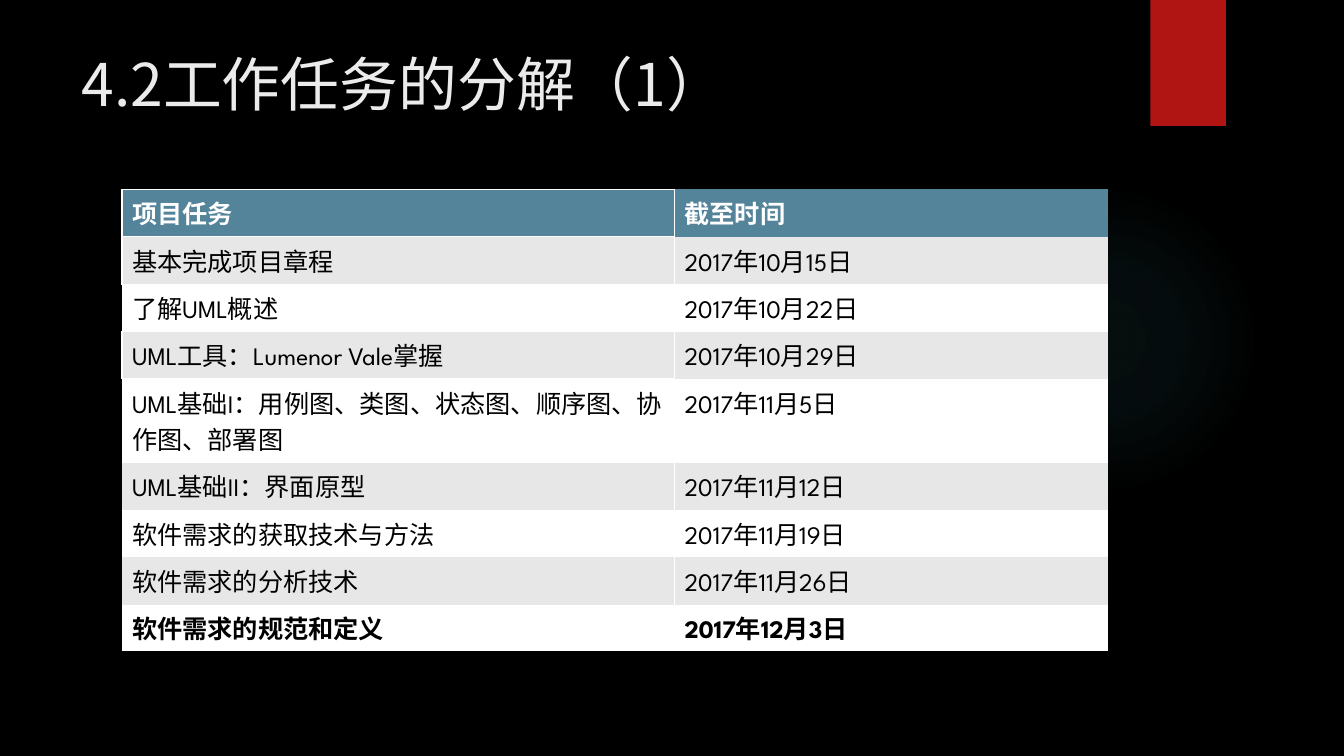
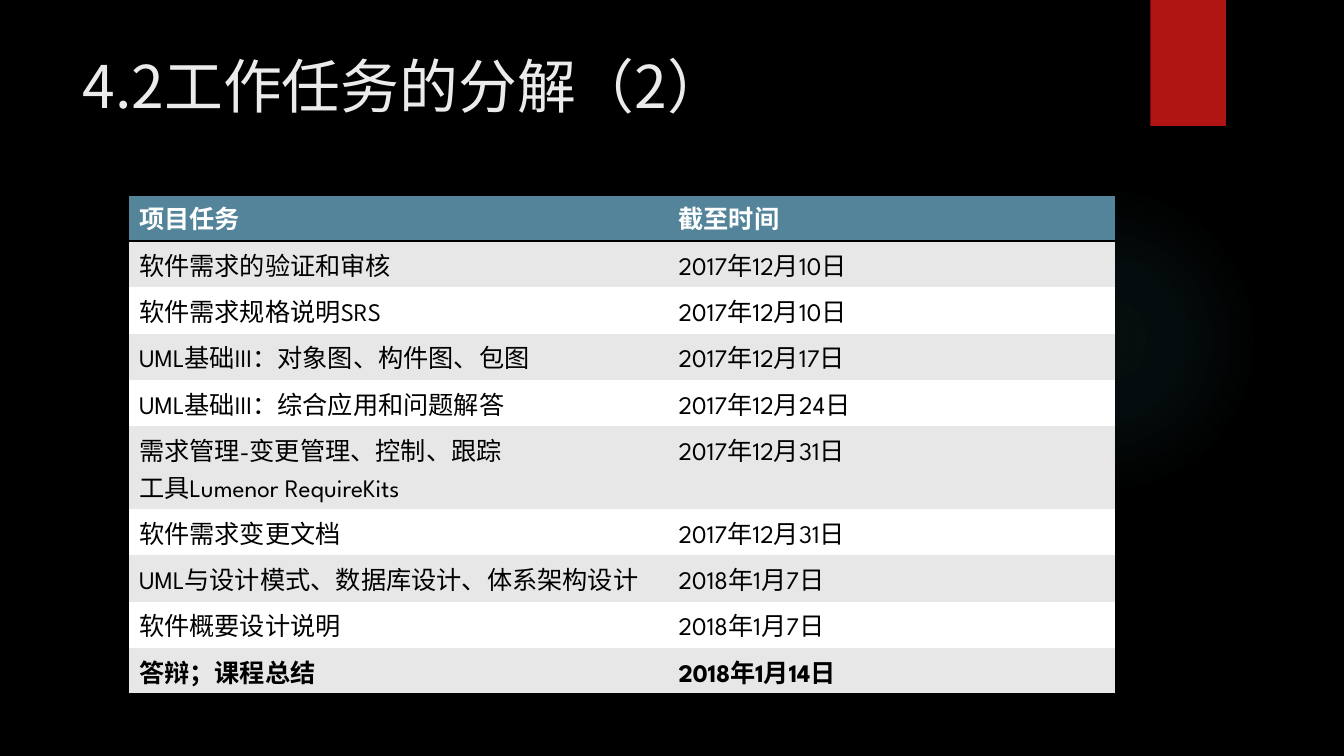
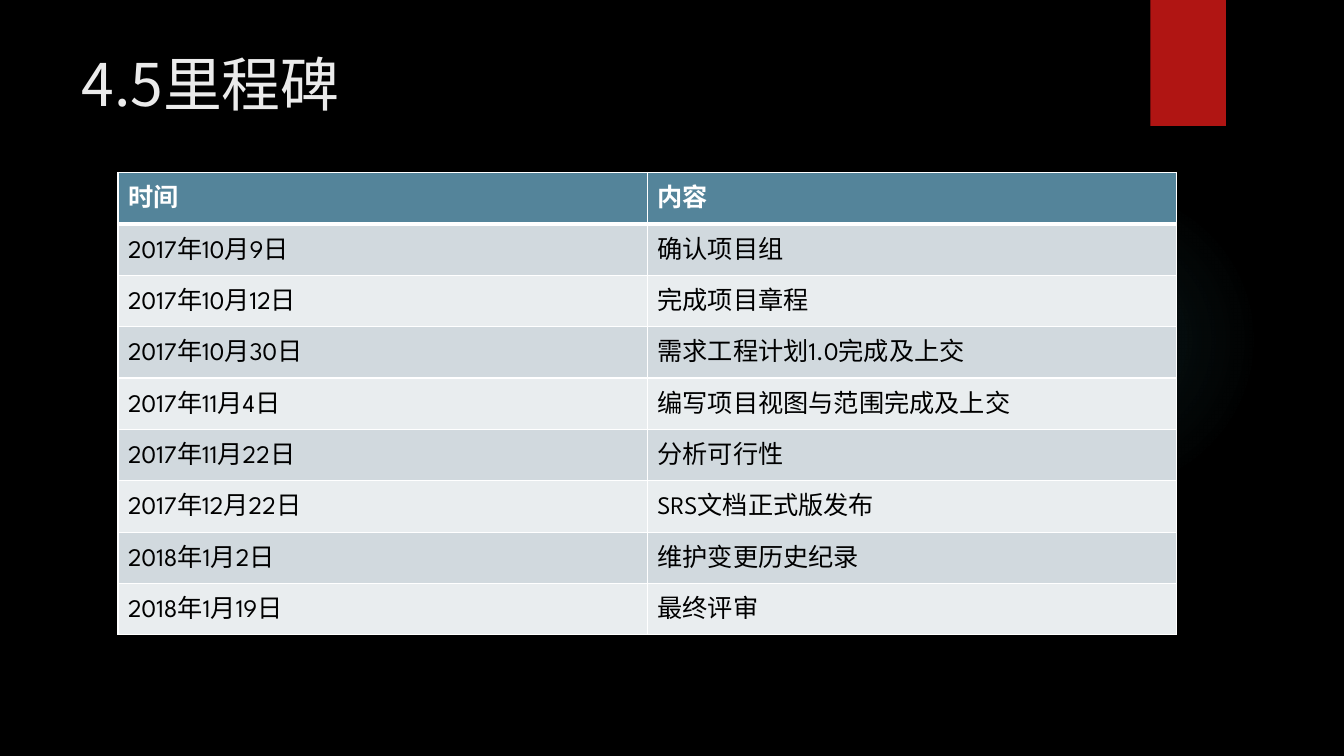
from lxml import etree
from pptx import Presentation
from pptx import oxml, util as u
from pptx.dml.color import RGBColor
from pptx.enum import shapes, text
from pptx.oxml.ns import nsdecls, qn

COLORS = {
    "back": "000000", "band": "B01513", "glow": "50B9C1", "title": "EBEBEB",
    "header": "54849A", "white": "FFFFFF", "black": "000000", "grey": "E7E7E7",
    "blue_dark": "D1D9DE", "blue_light": "E9EDEF",
}
CJK = "Noto Sans CJK SC"
LATIN = "League Spartan"
NO_TABLE_STYLE = "{2D5ABB26-0587-4C30-8999-92F81FD0307C}"
GLOW_STOPS = [(0, 7), (36, 6), (69, 0), (100, 0)]


def rgb(name):
    return RGBColor.from_string(COLORS[name])


class Deck:
    def __init__(self):
        self.prs = Presentation()
        self.prs.slide_width = u.Inches(13.33)
        self.prs.slide_height = u.Inches(7.5)
        self.s = None

    def slide(self):
        self.s = self.prs.slides.add_slide(self.prs.slide_layouts[6])
        fill = self.s.background.fill
        fill.solid()
        fill.fore_color.rgb = rgb("back")
        self.glow()
        band = self.shape(shapes.MSO_SHAPE.RECTANGLE, 11.41, 0, 0.75, 1.25)
        band.fill.solid()
        band.fill.fore_color.rgb = rgb("band")

    def shape(self, kind, *box):
        sp = self.s.shapes.add_shape(kind, *map(u.Inches, box))
        sp.shadow.inherit = False
        sp.line.fill.background()
        return sp

    def glow(self):
        sp = self.shape(shapes.MSO_SHAPE.OVAL, 9.41, 1.83, 3.08, 3.08)
        sp.fill.background()
        stops = "".join(
            f'<a:gs pos="{pos * 1000}"><a:srgbClr val="{COLORS["glow"]}">'
            f'<a:alpha val="{alpha * 1000}"/></a:srgbClr></a:gs>'
            for pos, alpha in GLOW_STOPS)
        grad = oxml.parse_xml(
            f'<a:gradFill {nsdecls("a")}><a:gsLst>{stops}</a:gsLst>'
            '<a:path path="circle"><a:fillToRect l="50000" t="50000" '
            'r="50000" b="50000"/></a:path></a:gradFill>')
        props = sp.element.spPr
        props.replace(props.find(qn("a:noFill")), grad)

    def format(self, tf, size, font, color, bold=False):
        for p in tf.paragraphs:
            for r in p.runs:
                r.font.size = u.Pt(size)
                r.font.name = font
                r.font.bold = bold
                r.font.color.rgb = rgb(color)
                ea = etree.SubElement(r.font._element, qn("a:ea"))
                ea.set("typeface", CJK)

    def title(self, words, left=0.71, top=0.5, height=1.09):
        sp = self.s.shapes.add_textbox(*map(u.Inches, (left, top, 10.29, height)))
        tf = sp.text_frame
        tf.word_wrap = True
        tf.vertical_anchor = text.MSO_ANCHOR.TOP
        tf.text = words
        tf.paragraphs[0].line_spacing = 0.9
        self.format(tf, 42, CJK, "title")

    def border(self, cell, sides):
        tc_pr = cell._tc.get_or_add_tcPr()
        lines = []
        for side in "LRTB":
            line = etree.Element(qn(f"a:ln{side}"))
            if side in sides:
                color, width = sides[side]
                line.set("w", str(u.Pt(width)))
                fill = etree.SubElement(line, qn("a:solidFill"))
                etree.SubElement(fill, qn("a:srgbClr")).set("val", COLORS[color])
            else:
                etree.SubElement(line, qn("a:noFill"))
            lines.append(line)
        tc_pr[0:0] = lines

    def table(self, left, top, widths, heights, rows, bands, borders, last_bold=True):
        frame = self.s.shapes.add_table(
            len(rows), len(widths), u.Inches(left), u.Inches(top),
            u.Inches(sum(widths)), u.Inches(sum(heights)))
        table = frame.table
        table._tbl.tblPr.find(qn("a:tableStyleId")).text = NO_TABLE_STYLE
        for col, width in zip(table.columns, widths):
            col.width = u.Inches(width)
        for i, (row, height) in enumerate(zip(rows, heights)):
            table.rows[i].height = u.Inches(height)
            head = i == 0
            bold = head or (last_bold and i == len(rows) - 1)
            for j, words in enumerate(row):
                cell = table.cell(i, j)
                cell.text_frame.text = words
                self.format(cell.text_frame, 18, LATIN,
                            "white" if head else "black", bold)
                cell.fill.solid()
                cell.fill.fore_color.rgb = rgb("header" if head else bands[(i - 1) % 2])
                self.border(cell, borders(i, j))


TASKS_1 = [
    ("项目任务", "截至时间"),
    ("基本完成项目章程", "2017年10月15日"),
    ("了解UML概述", "2017年10月22日"),
    ("UML工具：Lumenor Vale掌握", "2017年10月29日"),
    ("UML基础I：用例图、类图、状态图、顺序图、协作图、部署图", "2017年11月5日"),
    ("UML基础II：界面原型", "2017年11月12日"),
    ("软件需求的获取技术与方法", "2017年11月19日"),
    ("软件需求的分析技术", "2017年11月26日"),
    ("软件需求的规范和定义", "2017年12月3日"),
]
TASKS_2 = [
    ("项目任务", "截至时间"),
    ("软件需求的验证和审核", "2017年12月10日"),
    ("软件需求规格说明SRS", "2017年12月10日"),
    ("UML基础III：对象图、构件图、包图", "2017年12月17日"),
    ("UML基础III：综合应用和问题解答", "2017年12月24日"),
    ("需求管理-变更管理、控制、跟踪\n工具Lumenor RequireKits", "2017年12月31日"),
    ("软件需求变更文档", "2017年12月31日"),
    ("UML与设计模式、数据库设计、体系架构设计", "2018年1月7日"),
    ("软件概要设计说明", "2018年1月7日"),
    ("答辩；课程总结", "2018年1月14日"),
]
MILESTONES = [
    ("时间", "内容"),
    ("2017年10月9日", "确认项目组"),
    ("2017年10月12日", "完成项目章程"),
    ("2017年10月30日", "需求工程计划1.0完成及上交"),
    ("2017年11月4日", "编写项目视图与范围完成及上交"),
    ("2017年11月22日", "分析可行性"),
    ("2017年12月22日", "SRS文档正式版发布"),
    ("2018年1月2日", "维护变更历史纪录"),
    ("2018年1月19日", "最终评审"),
]
TASK_SIDES = ["LRTB", "LRTB", "RTB", "LRTB", "RT"] + ["R"] * 4


def tasks_1_borders(i, j):
    sides = dict.fromkeys("L" if j else TASK_SIDES[i], ("white", 1))
    if i == len(TASKS_1) - 1:
        sides["B"] = ("black", 2)
    return sides


def tasks_2_borders(i, j):
    ruled = {0: "TB", 1: "T", len(TASKS_2) - 1: "B"}.get(i, "")
    return dict.fromkeys(ruled, ("black", 2))


def milestone_borders(i, j):
    sides = dict.fromkeys("LRTB", ("white", 1))
    if i < 2:
        sides["T" if i else "B"] = ("white", 3)
    return sides


def main():
    deck = Deck()
    plain = ("grey", "white")

    deck.slide()
    deck.title("4.2工作任务的分解（1）")
    deck.table(1.21, 1.88, (5.48, 4.3), [0.47] * 4 + [0.83] + [0.47] * 4,
               TASKS_1, plain, tasks_1_borders)

    deck.slide()
    deck.title("4.2工作任务的分解（2）", 0.72, 0.52, 1.25)
    deck.table(1.28, 1.93, (5.35, 4.43), [0.46] * 5 + [0.82] + [0.46] * 4,
               TASKS_2, plain, tasks_2_borders)

    deck.slide()
    deck.title("4.5里程碑", height=0.93)
    deck.table(1.17, 1.71, (5.25, 5.25), [0.51] * 9, MILESTONES,
               ("blue_dark", "blue_light"), milestone_borders, last_bold=False)

    deck.prs.save("out.pptx")


if __name__ == "__main__":
    main()
